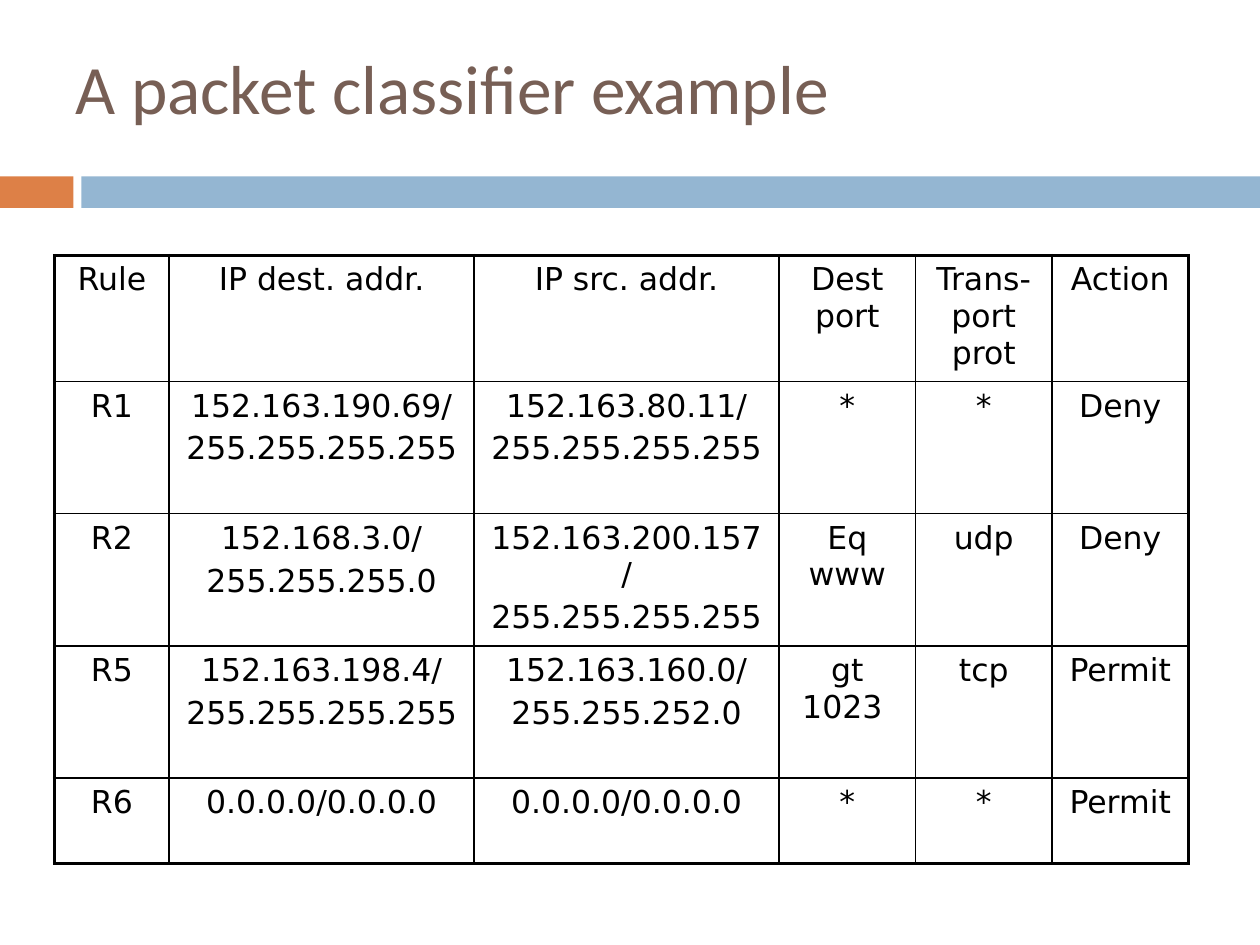
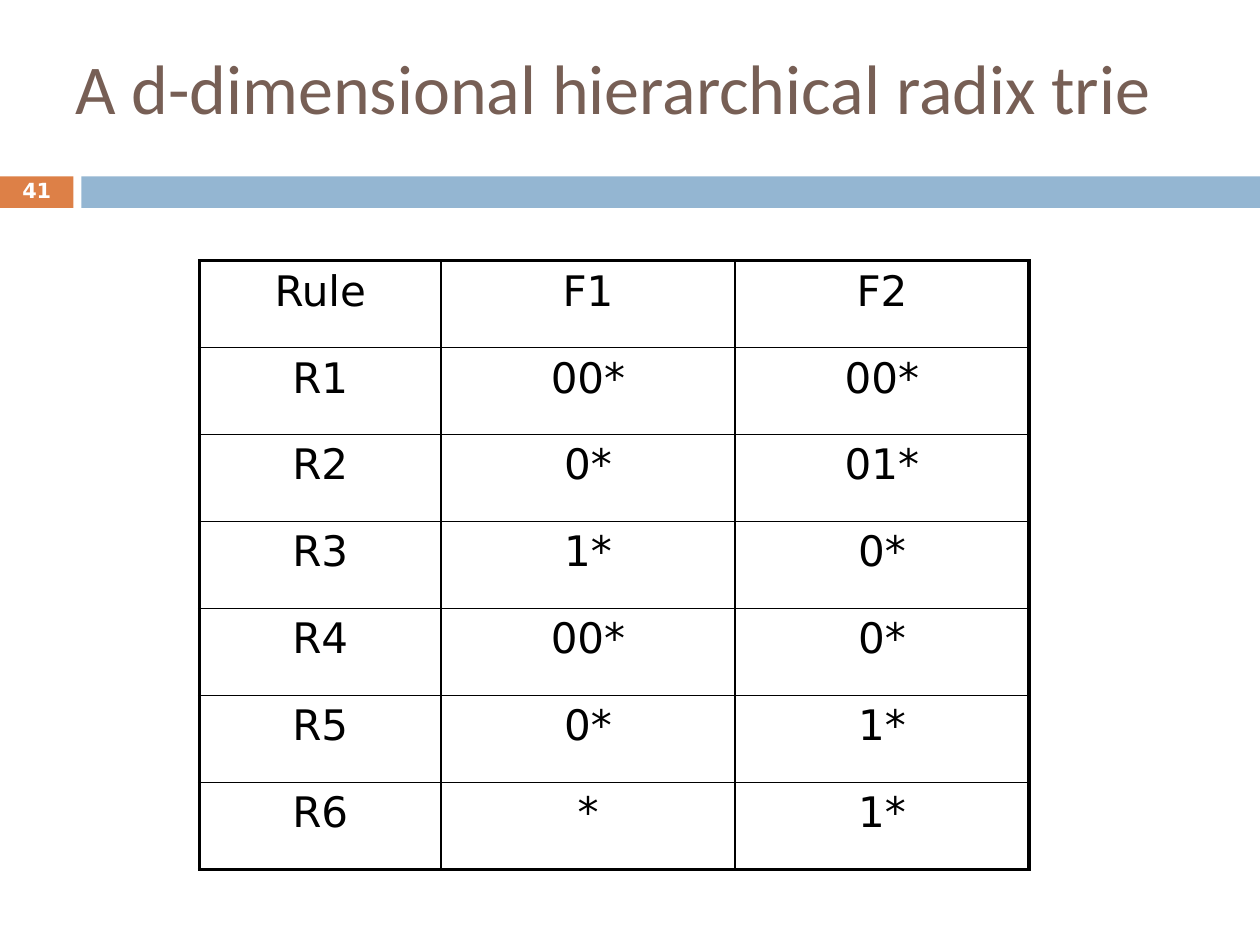
from lxml import etree
from pptx import Presentation, util as u
from pptx.dml.color import RGBColor
from pptx.enum import shapes, text
from pptx.oxml import ns

Pt = u.Pt
BLACK = RGBColor(0, 0, 0)
WHITE = RGBColor(255, 255, 255)
BROWN = RGBColor(0x77, 0x5F, 0x55)
ORANGE = RGBColor(0xDD, 0x80, 0x47)
BLUE = RGBColor(0x94, 0xB6, 0xD2)
HEAD, BODY = "Calibri", "DejaVu Sans"
CENTER = text.PP_ALIGN.CENTER
MIDDLE = text.MSO_ANCHOR.MIDDLE
THICK, THIN = 2.25, 1


class Deck:
    """Holds the style of the deck and the slide being built."""

    def __init__(self):
        self.show = Presentation()
        self.show.slide_width, self.show.slide_height = Pt(720), Pt(540)
        self.slide = None

    def start(self, title, size=40):
        self.slide = self.show.slides.add_slide(self.show.slide_layouts[6])
        self.band(0, 42, ORANGE)
        self.band(46.5, 673.5, BLUE)
        par = self.box(36, 21.6, 648, 55.5)
        self.run(par, title, HEAD, size, BROWN)

    def band(self, left, width, color):
        bar = self.slide.shapes.add_shape(
            shapes.MSO_SHAPE.RECTANGLE, Pt(left), Pt(100.8), Pt(width), Pt(18))
        bar.shadow.inherit = False
        bar.fill.solid()
        bar.fill.fore_color.rgb = color
        bar.line.fill.background()

    def box(self, left, top, width, height):
        frame = self.slide.shapes.add_textbox(
            Pt(left), Pt(top), Pt(width), Pt(height)).text_frame
        frame.word_wrap = True
        frame.vertical_anchor = MIDDLE
        return frame.paragraphs[0]

    def run(self, par, words, face, size, color, bold=False):
        run = par.add_run()
        run.text = words
        font = run.font
        font.name, font.size, font.bold = face, Pt(size), bold
        font.color.rgb = color

    def number(self, words):
        par = self.box(0, 100, 42, 19.5)
        par.alignment, par.line_spacing = CENTER, 0.8
        self.run(par, words, BODY, 11.9, WHITE, True)

    def edge(self, cell, sides):
        props = cell._tc.get_or_add_tcPr()
        for spot, (side, width) in enumerate(sides.items()):
            line = etree.Element(ns.qn("a:ln" + side), w=str(Pt(width)))
            fill = etree.SubElement(line, ns.qn("a:solidFill"))
            etree.SubElement(fill, ns.qn("a:srgbClr"), val=str(BLACK))
            props.insert(spot, line)

    def fill(self, cell, words, size):
        cell.fill.background()
        frame = cell.text_frame
        for spot, line in enumerate(words.split("\n")):
            par = frame.add_paragraph() if spot else frame.paragraphs[0]
            par.alignment = CENTER
            if spot:
                par.space_before = Pt(size * 0.2)
            self.run(par, line, BODY, size, BLACK)

    def table(self, left, top, widths, heights, rows, size):
        grid = self.slide.shapes.add_table(
            len(rows), len(widths), Pt(left), Pt(top),
            Pt(sum(widths)), Pt(sum(heights))).table
        grid.first_row = grid.horz_banding = False
        for col, width in zip(grid.columns, widths):
            col.width = Pt(width)
        for row, height in zip(grid.rows, heights):
            row.height = Pt(height)
        end, last = len(widths) - 1, len(rows) - 1
        for y, row in enumerate(rows):
            for x, words in enumerate(row):
                cell = grid.cell(y, x)
                self.fill(cell, words, size)
                self.edge(cell, {
                    "L": THICK if x == 0 else THIN,
                    "R": THICK if x == end else THIN,
                    "T": THICK if y == 0 else THIN,
                    "B": THICK if y == last else THIN})


deck = Deck()

deck.start("A packet classifier example", 39.6)
rules = [
    ("Rule", "IP dest. addr.", "IP src. addr.", "Dest port", "Trans-port prot",
     "Action"),
    ("R1", "152.163.190.69/\n255.255.255.255", "152.163.80.11/\n255.255.255.255",
     "*", "*", "Deny"),
    ("R2", "152.168.3.0/\n255.255.255.0", "152.163.200.157/\n255.255.255.255",
     "Eq www", "udp", "Deny"),
    ("R5", "152.163.198.4/\n255.255.255.255", "152.163.160.0/\n255.255.252.0",
     "gt 1023 ", "tcp", "Permit"),
    ("R6", "0.0.0.0/0.0.0.0", "0.0.0.0/0.0.0.0", "*", "*", "Permit"),
]
deck.table(31.2, 146, [65.5] + [174.25] * 2 + [78] * 3,
           [71, 75.5, 73.5, 75.5, 48.75], rules, 18)

deck.start("A d-dimensional hierarchical radix trie")
fields = [
    ("Rule", "F1", "F2"),
    ("R1", "00*", "00*"),
    ("R2", "0*", "01*"),
    ("R3", "1*", "0*"),
    ("R4", "00*", "0*"),
    ("R5", "0*", "1*"),
    ("R6", "*", "1*"),
]
deck.table(114, 149, [138, 168, 168], [49.7] * len(fields), fields, 24)
deck.number("41")

deck.show.save("out.pptx")
